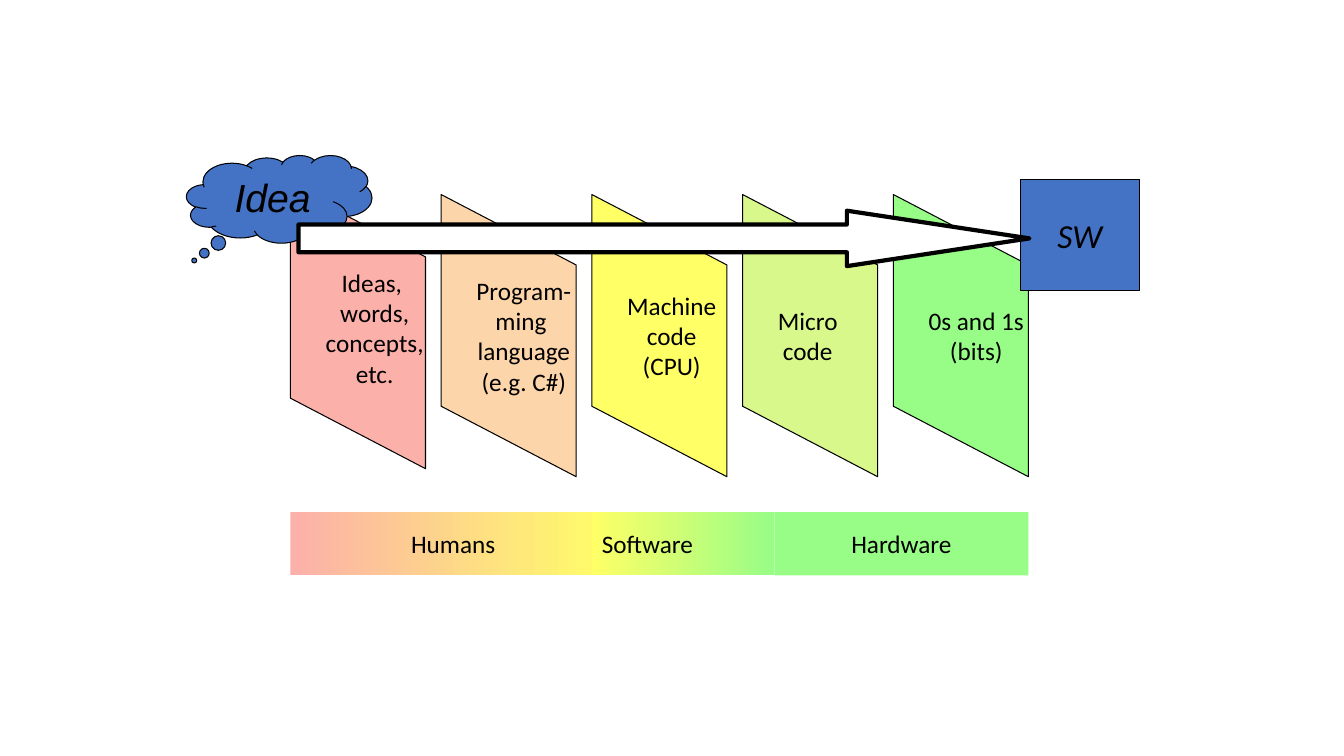
from dataclasses import dataclass
from pptx import Presentation
from pptx.dml.color import RGBColor as Rgb
from pptx.enum.shapes import MSO_SHAPE as Kind
from pptx.enum.text import MSO_ANCHOR as Anchor, PP_ALIGN as Align
from pptx.util import Inches, Pt


@dataclass(frozen=True)
class Theme:
    cell: float = 0.1
    font: str = "Calibri"
    alt: str = "Arial"
    body: int = 18
    mid: int = 24
    big: int = 28
    thin: float = 0.75
    thick: float = 3
    ink: str = "000000"
    white: str = "FFFFFF"
    blue: str = "4472C4"
    pink: str = "FCB0AA"
    peach: str = "FCD5AA"
    yellow: str = "FFFF66"
    lime: str = "D9F88C"
    green: str = "98FD87"


T = Theme()
LEFT, PITCH = 28.8, 14.95
PANE_W, PANE_H = 13.4, 28
PANES = [
    (T.pink, 18.5, ["Ideas, ", "words,", "concepts,", "etc."]),
    (T.peach, 19.3, ["Program-", "ming ", "language", "(e.g. C#)"]),
    (T.yellow, 19.3, ["Machine", "code", "(CPU)"]),
    (T.lime, 19.3, ["Micro", "code"]),
    (T.green, 19.3, ["0s and 1s", "(bits)"]),
]
BAR_TOP, BAR_H = 50.8, 6.3
BARS = [
    ("Humans", LEFT, 32.3, (T.pink, T.yellow), Align.CENTER),
    ("Software", 58.7, 18.1, (T.yellow, T.green), Align.LEFT),
    ("Hardware", 76.8, 25.2, (T.green,), Align.CENTER),
]


def paint(shape, hues):
    """Fill with one hue, or with a left-to-right blend of two."""
    fill = shape.fill
    if len(hues) == 1:
        fill.solid()
        fill.fore_color.rgb = Rgb.from_string(hues[0])
        return
    fill.gradient()
    fill.gradient_angle = 0
    for stop, hue in zip(fill.gradient_stops, hues):
        stop.color.rgb = Rgb.from_string(hue)


def draw(slide, kind, box, hues, line=T.thin, adjust=()):
    """Add a shape; box is left, top, width, height in grid cells."""
    shape = slide.shapes.add_shape(kind, *(Inches(n * T.cell) for n in box))
    shape.shadow.inherit = False
    for i, value in enumerate(adjust):
        shape.adjustments[i] = value
    paint(shape, hues)
    if line:
        shape.line.color.rgb = Rgb.from_string(T.ink)
        shape.line.width = Pt(line)
    else:
        shape.line.fill.background()
    return shape


def write(shape, lines, size=T.body, font=T.font, italic=False,
          align=Align.CENTER, anchor=Anchor.MIDDLE, wrap=False):
    frame = shape.text_frame
    frame.word_wrap = wrap
    frame.vertical_anchor = anchor
    for i, text in enumerate(lines):
        para = frame.add_paragraph() if i else frame.paragraphs[0]
        para.alignment = align
        run = para.add_run()
        run.text = text
        run.font.name = font
        run.font.size = Pt(size)
        run.font.italic = italic
        run.font.color.rgb = Rgb.from_string(T.ink)


def pane(slide, col, hue, top, lines):
    """Add a parallelogram turned on end, with its text kept upright."""
    mid_x = LEFT + col * PITCH + PANE_W / 2
    mid_y = top + PANE_H / 2
    box = (mid_x - PANE_H / 2, mid_y - PANE_W / 2, PANE_H, PANE_W)
    shape = draw(slide, Kind.PARALLELOGRAM, box, [hue], adjust=[0.522])
    shape.rotation = 90
    write(shape, lines)
    body = shape.text_frame._txBody.bodyPr
    body.set("vert", "eaVert")
    body.set("rot", "10800000")


def bar(slide, text, left, width, hues, align):
    shape = draw(slide, Kind.RECTANGLE, (left, BAR_TOP, width, BAR_H),
                 hues, line=None)
    write(shape, [text], align=align)


def main():
    deck = Presentation()
    deck.slide_width, deck.slide_height = Inches(13.33), Inches(7.5)
    slide = deck.slides.add_slide(deck.slide_layouts[6])

    for col, (hue, top, lines) in enumerate(PANES):
        pane(slide, col, hue, top, lines)

    cloud = draw(slide, Kind.CLOUD_CALLOUT, (18.5, 15.4, 18.4, 8.7),
                 [T.blue], adjust=[-0.458, 0.7])
    write(cloud, ["Idea"], T.big, T.alt, italic=True,
          anchor=Anchor.TOP, wrap=True)
    goal = draw(slide, Kind.RECTANGLE, (101.2, 17.8, 11.8, 11), [T.blue])
    write(goal, ["SW"], T.mid, italic=True)
    draw(slide, Kind.RIGHT_ARROW, (29.6, 20.9, 72.5, 5.5), [T.white],
         T.thick, [0.5, 3.292])

    for item in BARS:
        bar(slide, *item)
    deck.save("out.pptx")


if __name__ == "__main__":
    main()
